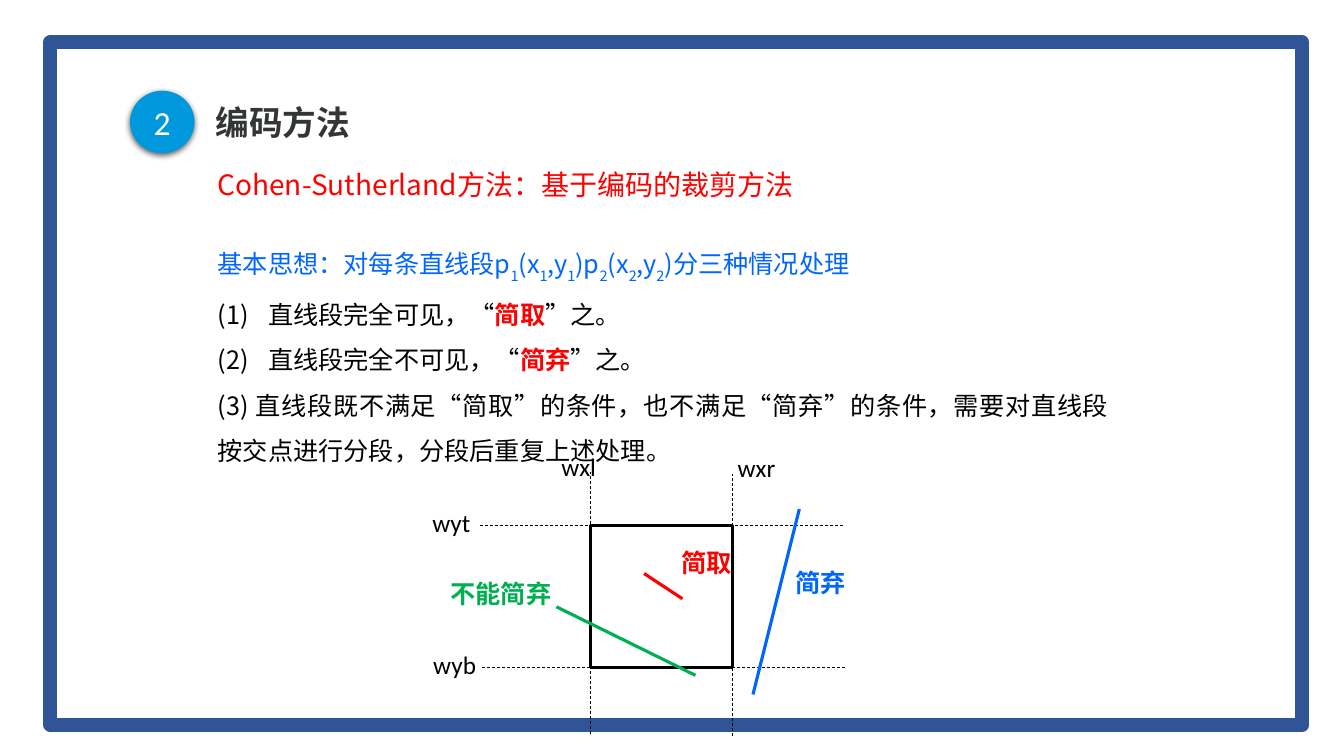
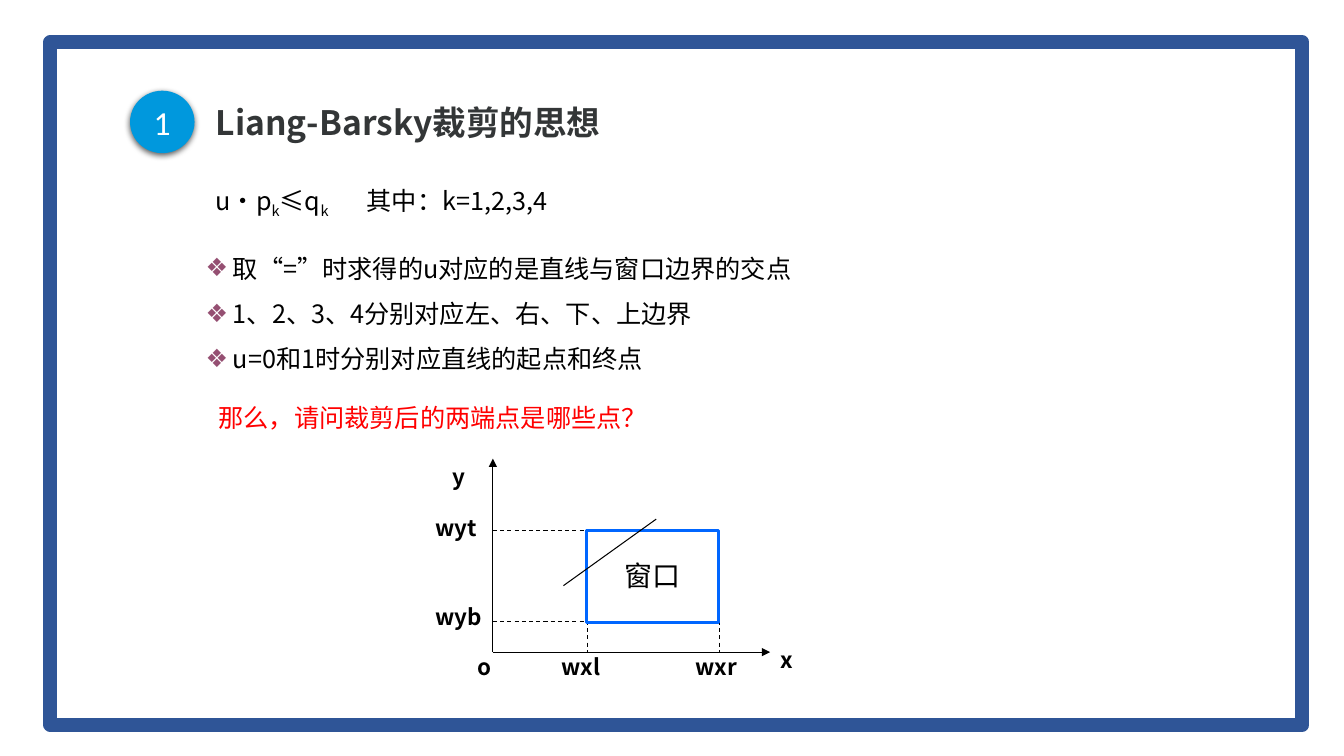
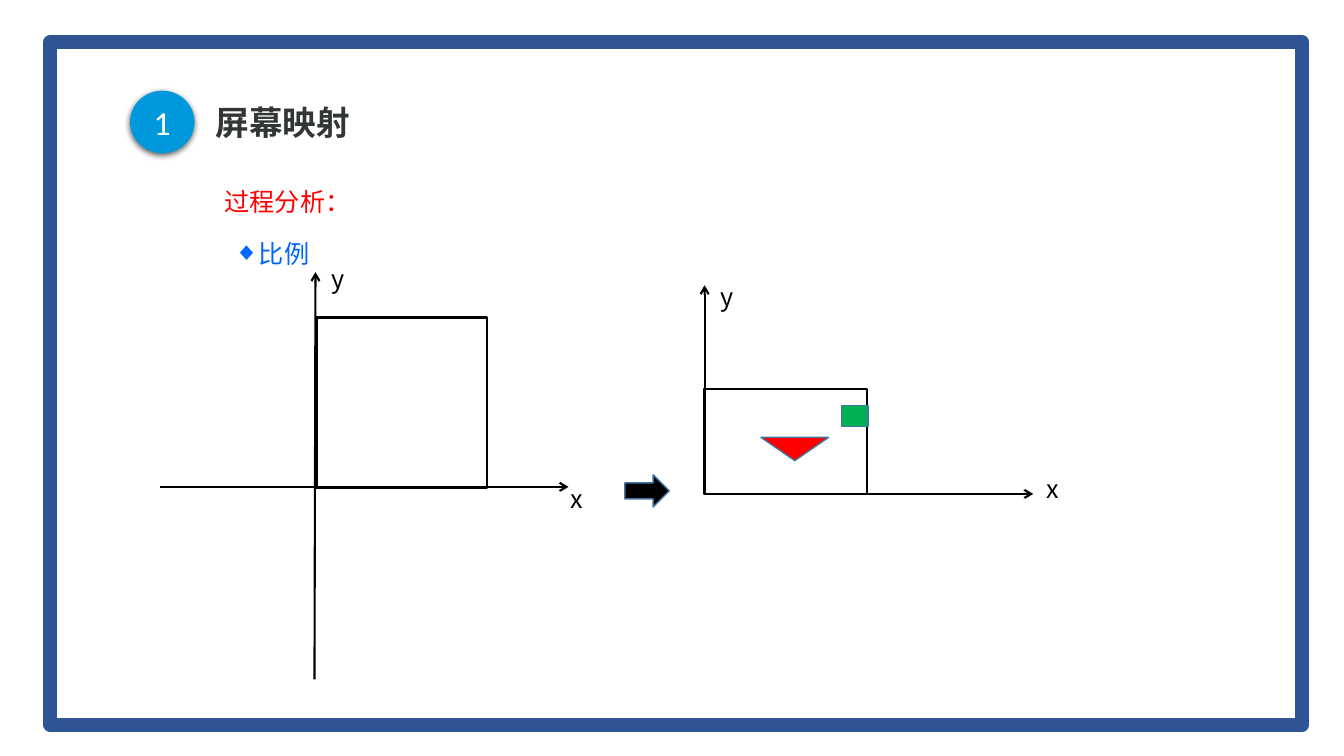
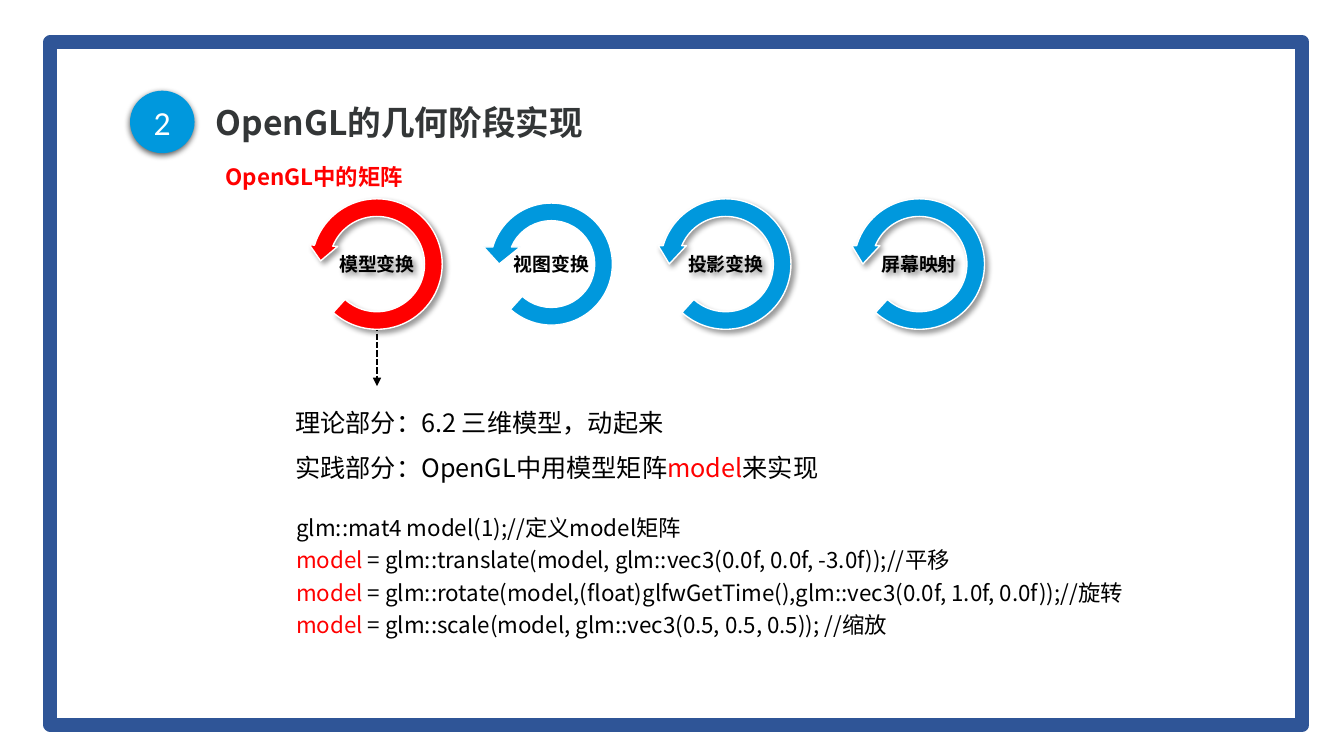
from dataclasses import dataclass
from typing import NamedTuple, Optional, Sequence, Union

from lxml import etree
from pptx import Presentation
from pptx.dml.color import RGBColor
from pptx.enum.dml import MSO_LINE
from pptx.enum.shapes import MSO_CONNECTOR, MSO_SHAPE
from pptx.enum.text import MSO_ANCHOR, MSO_AUTO_SIZE, PP_ALIGN
from pptx.oxml.ns import qn
from pptx.util import Emu, Inches, Pt

RECTANGLE = MSO_SHAPE.RECTANGLE
OVAL = MSO_SHAPE.OVAL
TRIANGLE = MSO_SHAPE.ISOSCELES_TRIANGLE
RIGHT_ARROW = MSO_SHAPE.RIGHT_ARROW
CIRCULAR_ARROW = MSO_SHAPE.CIRCULAR_ARROW
STRAIGHT = MSO_CONNECTOR.STRAIGHT
DASH = MSO_LINE.DASH
SHORT_DASH = MSO_LINE.SQUARE_DOT
LEFT = PP_ALIGN.LEFT
CENTER = PP_ALIGN.CENTER
JUSTIFY = PP_ALIGN.JUSTIFY
TOP = MSO_ANCHOR.TOP
MIDDLE = MSO_ANCHOR.MIDDLE
FIT_SHAPE = MSO_AUTO_SIZE.SHAPE_TO_FIT_TEXT
NO_FIT = MSO_AUTO_SIZE.NONE

CELL = Inches(0.1)
COLUMNS, ROWS = 133.33, 75


@dataclass(frozen=True)
class Theme:
    font: str = "Noto Sans CJK SC"
    latin: str = "Calibri"
    question_font: str = "DejaVu Sans"
    white: str = "FFFFFF"
    black: str = "000000"
    title: str = "333637"
    frame: str = "2F5597"
    accent: str = "0098DD"
    red: str = "FF0000"
    blue: str = "0066FF"
    green: str = "00B050"
    bullet: str = "954F72"
    outline: str = "43739E"
    title_size: float = 24
    lead_size: float = 20
    body_size: float = 18
    small_size: float = 16
    ring_size: float = 13.5


THEME = Theme()


class Area(NamedTuple):
    left: float
    top: float
    width: float
    height: float


class Span(NamedTuple):
    text: str
    color: Optional[str] = None
    bold: Optional[bool] = None
    baseline: int = 0


class Label(NamedTuple):
    text: str
    left: float
    top: float
    width: float
    color: str = THEME.black


class Segment(NamedTuple):
    x1: float
    y1: float
    x2: float
    y2: float
    color: str = THEME.black
    weight: float = 2.25


class Shadow(NamedTuple):
    alpha: int
    blur: float
    distance: float
    angle: int


class Ring(NamedTuple):
    text: str
    left: float
    color: str
    sweep: float
    head: float
    shadow: Optional[Shadow]


BADGE_SHADOW = Shadow(63, 4.5, 1.5, 90)
RING_SHADOW = Shadow(40, 4, 3, 45)
TITLE_AREA = Area(20.4, 9.3, 83.5, 6.1)
BADGE_AREA = Area(12.9, 9, 6.4, 6.2)

Paragraph = Union[str, Sequence[Span]]


def cells(count: float) -> Emu:
    return Emu(round(count * CELL))


def rgb(color: str) -> RGBColor:
    return RGBColor.from_string(color)


def add_element(parent, tag: str, **attributes):
    element = etree.SubElement(parent, qn(tag))
    for name, value in attributes.items():
        element.set(name, str(value))
    return element


def place(shape, area: Area) -> None:
    shape.left, shape.top, shape.width, shape.height = map(cells, area)


def write_text(frame, paragraphs: Sequence[Paragraph], *, size: float = THEME.body_size,
               color: str = THEME.black, bold: bool = False, font: str = THEME.font,
               align=LEFT, anchor=TOP, spacing: Optional[float] = None,
               wrap: bool = True, fit=NO_FIT, margins: tuple[float, float] = (1, 0.5),
               bullet: str = "", bullet_color: Optional[str] = None,
               hanging: float = 0, tab: float = 0) -> None:
    frame.word_wrap = wrap
    frame.auto_size = fit
    frame.vertical_anchor = anchor
    frame.margin_left = frame.margin_right = cells(margins[0])
    frame.margin_top = frame.margin_bottom = cells(margins[1])
    for index, content in enumerate(paragraphs):
        para = frame.add_paragraph() if index else frame.paragraphs[0]
        properties = para._p.get_or_add_pPr()
        properties.set("marL", str(cells(hanging)))
        properties.set("indent", str(-cells(hanging)))
        if bullet_color:
            add_element(add_element(properties, "a:buClr"), "a:srgbClr", val=bullet_color)
        if bullet:
            add_element(properties, "a:buChar", char=bullet)
        else:
            add_element(properties, "a:buNone")
        if tab:
            add_element(add_element(properties, "a:tabLst"), "a:tab", pos=cells(tab), algn="l")
        para.alignment = align
        para.space_before = Pt(0)
        if spacing:
            para.line_spacing = spacing
        for span in [Span(content)] if isinstance(content, str) else content:
            run = para.add_run()
            run.text = span.text
            run.font.size = Pt(size)
            run.font.name = font
            run.font.bold = bold if span.bold is None else span.bold
            run.font.color.rgb = rgb(span.color or color)
            run_properties = run.font._element
            add_element(run_properties, "a:ea", typeface=THEME.font)
            if span.baseline:
                run_properties.set("baseline", str(span.baseline * 1000))


def add_text(page, area: Area, paragraphs: Sequence[Paragraph], **text_format) -> None:
    box = page.shapes.add_textbox(*map(cells, area))
    write_text(box.text_frame, paragraphs, **{"fit": FIT_SHAPE, **text_format})


def add_labels(page, labels: Sequence[Label], *, height: float = 4, **text_format) -> None:
    for label in labels:
        area = Area(label.left, label.top, label.width, height)
        add_text(page, area, [label.text], color=label.color, wrap=False, **text_format)


def add_block(page, kind, area: Area, *, fill: Optional[str] = None,
              line: Optional[str] = None, weight: float = 1,
              shadow: Optional[Shadow] = None, flip: str = ""):
    block = page.shapes.add_shape(kind, *map(cells, area))
    block.shadow.inherit = False
    if fill:
        block.fill.solid()
        block.fill.fore_color.rgb = rgb(fill)
    else:
        block.fill.background()
    if line:
        block.line.color.rgb = rgb(line)
        block.line.width = Pt(weight)
    else:
        block.line.fill.background()
    properties = block.element.spPr
    if shadow:
        outer = add_element(properties.find(qn("a:effectLst")), "a:outerShdw",
                            blurRad=Pt(shadow.blur), dist=Pt(shadow.distance),
                            dir=shadow.angle * 60000, algn="ctr", rotWithShape=0)
        tint = add_element(outer, "a:srgbClr", val=THEME.black)
        add_element(tint, "a:alpha", val=shadow.alpha * 1000)
    if flip:
        properties.find(qn("a:xfrm")).set(flip, "1")
    return block


def add_line(page, segment: Segment, *, dash=None, head: str = "", tail: str = "") -> None:
    ends = (segment.x1, segment.y1, segment.x2, segment.y2)
    connector = page.shapes.add_connector(STRAIGHT, *map(cells, ends))
    connector.line.color.rgb = rgb(segment.color)
    connector.line.width = Pt(segment.weight)
    if dash:
        connector.line.dash_style = dash
    outline = connector.line._get_or_add_ln()
    if head:
        add_element(outline, "a:headEnd", type=head)
    if tail:
        add_element(outline, "a:tailEnd", type=tail)
    add_element(connector.element.spPr, "a:effectLst")


def add_page(deck, number: int, title: str):
    page = deck.slides.add_slide(deck.slide_layouts[1])
    write_text(page.shapes.title.text_frame, [title], size=THEME.title_size,
               color=THEME.title, bold=True, anchor=MIDDLE, spacing=0.9)
    badge = add_block(page, OVAL, BADGE_AREA, fill=THEME.accent, shadow=BADGE_SHADOW)
    write_text(badge.text_frame, [str(number)], size=THEME.title_size, color=THEME.white,
               font=THEME.latin, align=CENTER, anchor=MIDDLE, wrap=False)
    return page


def fill_body(page, area: Area, paragraphs: Sequence[Paragraph], **text_format) -> None:
    body = page.placeholders[1]
    place(body, area)
    write_text(body.text_frame, paragraphs, **text_format)


def frame_layout(layout, page) -> None:
    place(layout.placeholders[0], TITLE_AREA)
    panel = add_block(page, RECTANGLE, Area(5.8, 5, 122.5, 66.2), fill=THEME.white)
    border = add_block(page, RECTANGLE, Area(5, 4.2, 124.2, 67.7), line=THEME.frame, weight=10)
    for offset, shape in enumerate((panel, border)):
        shape.element.nvSpPr.cNvPr.set("id", str(20 + offset))
        layout.shapes.element.insert(2 + offset, shape.element)


def subscripted(marked: str, baseline: int) -> list[Span]:
    return [Span(text, baseline=baseline * (index % 2))
            for index, text in enumerate(marked.split("|"))]


def build_coding(deck) -> None:
    page = add_page(deck, 2, "编码方法")
    frame_layout(deck.slide_layouts[1], page)
    add_text(page, Area(20.6, 15.5, 85, 20), ["Cohen-Sutherland方法：基于编码的裁剪方法"],
             size=THEME.lead_size, color=THEME.red, align=JUSTIFY, spacing=1.2,
             hanging=2.5, fit=NO_FIT)
    idea = subscripted("基本思想：对每条直线段p|1|(x|1|,y|1|)p|2|(x|2|,y|2|)分三种情况处理", -30)
    fill_body(page, Area(20.6, 22.4, 90.4, 50.8), [
        [span._replace(color=THEME.blue) for span in idea],
        [Span("(1)\t直线段完全可见，“"), Span("简取", THEME.red, True), Span("”之。")],
        [Span("(2)\t直线段完全不可见，“"), Span("简弃", THEME.red, True), Span("”之。")],
        "(3) 直线段既不满足“简取”的条件，也不满足“简弃”的条件，需要对直线段按交点进行分段，分段后重复上述处理。",
    ], align=JUSTIFY, spacing=1.5, tab=4.8)

    window = Area(58.6, 52.1, 14.1, 14.1)
    right, bottom = window.left + window.width, window.top + window.height
    add_block(page, RECTANGLE, window, line=THEME.black, weight=2.25)
    for boundary in (
        Segment(47.6, window.top, 83.6, window.top, weight=0.5),
        Segment(47.8, bottom, 83.9, bottom, weight=0.5),
        Segment(window.left, 72.8, window.left, 46.8, weight=0.5),
        Segment(right, 73, right, 47, weight=0.5),
    ):
        add_line(page, boundary, dash=DASH)
    for clipped in (
        Segment(63.9, 56.9, 67.7, 59.4, THEME.red),
        Segment(55.2, 60.2, 69, 67, THEME.green),
        Segment(79.3, 50.5, 74.7, 68.9, THEME.blue),
    ):
        add_line(page, clipped)
    add_labels(page, [
        Label("wxl", 54.7, 44.3, 5.5),
        Label("wxr", 72.2, 44.4, 5.8),
        Label("wyt", 41.9, 49.8, 5.8),
        Label("wyb", 42, 63.9, 6.3),
    ], font=THEME.latin)
    add_labels(page, [
        Label("简取", 66.6, 53.8, 7.1, THEME.red),
        Label("不能简弃", 43.7, 56.9, 12.1, THEME.green),
        Label("简弃", 77.9, 55.8, 7.1, THEME.blue),
    ], bold=True)


def build_clipping(deck) -> None:
    page = add_page(deck, 1, "Liang-Barsky裁剪的思想")
    add_text(page, Area(20.4, 17.9, 35.8, 4),
             [subscripted("u·p|k|≤q|k|\t其中：k=1,2,3,4", -25)], tab=13.4)
    fill_body(page, Area(19.4, 23.1, 74.1, 14.6), [
        "取“=”时求得的u对应的是直线与窗口边界的交点",
        "1、2、3、4分别对应左、右、下、上边界",
        "u=0和1时分别对应直线的起点和终点",
    ], spacing=1.5, bullet="❖", bullet_color=THEME.bullet, hanging=2.7)
    add_labels(page, [Label("那么，请问裁剪后的两端点是哪些点？", 20.7, 39.4, 44.9, THEME.red)],
               font=THEME.question_font)

    origin_x, origin_y = 48.9, 64.7
    window = Area(58.2, 52.6, 13.1, 9.2)
    for end_x, end_y in ((origin_x, 45.5), (76.4, origin_y)):
        add_line(page, Segment(origin_x, origin_y, end_x, end_y, weight=0.75), tail="triangle")
    for row in (window.top, 61.7):
        add_line(page, Segment(origin_x, row, 58, row, weight=0.75), dash=DASH)
    for column in (58.3, 71.4):
        add_line(page, Segment(column, 53, column, origin_y, weight=0.75), dash=DASH)
    add_block(page, RECTANGLE, window, line=THEME.blue, weight=2.25)
    add_labels(page, [
        Label("x", 76.4, 63.6, 3.3),
        Label("y", 43.9, 45.5, 3.3),
        Label("o", 46.4, 64.3, 3.5),
        Label("wyt", 42.2, 50.5, 6.2),
        Label("wyb", 42.2, 59.3, 6.7),
        Label("wxl", 54.7, 64.3, 5.9),
        Label("wxr", 68, 64.3, 6.2),
    ], height=3.7, size=THEME.small_size, bold=True)
    add_labels(page, [Label("窗口", 61, 54.9, 7.6)], height=4.3, size=THEME.lead_size)
    add_line(page, Segment(55.9, 58.1, 65.1, 51.5, weight=0.75))


def build_mapping(deck) -> None:
    page = add_page(deck, 1, "屏幕映射")
    fill_body(page, Area(22.2, 23.1, 9.6, 4), ["比例"], color=THEME.blue,
              bullet="◆", hanging=2.3, wrap=False)
    add_block(page, RIGHT_ARROW, Area(62, 47.1, 4.4, 3.2), fill=THEME.black, line=THEME.outline)
    for area in (Area(31.4, 31.5, 16.9, 16.9), Area(69.8, 38.6, 16.2, 10.4)):
        add_block(page, RECTANGLE, area, line=THEME.black, weight=1.5)
    add_block(page, TRIANGLE, Area(75.5, 43.4, 6.7, 2.3), fill=THEME.red,
              line=THEME.outline, flip="flipV")
    add_block(page, RECTANGLE, Area(83.5, 40.2, 2.6, 2.1), fill=THEME.green, line=THEME.outline)
    for axis in (
        Segment(31.2, 67.4, 31.3, 27, weight=1.5),
        Segment(15.9, 48.3, 56.4, 48.3, weight=1.5),
        Segment(69.9, 49.1, 69.9, 28.3, weight=1.5),
        Segment(69.9, 49, 102.5, 49, weight=1.5),
    ):
        add_line(page, axis, tail="arrow")
    add_labels(page, [
        Label("过程分析：", 21.3, 18, 14.6, THEME.red),
        Label("y", 31.9, 25.6, 3.4),
        Label("x", 55.6, 47.5, 3.3),
        Label("x", 102.8, 46.5, 3.3),
        Label("y", 70.5, 27.4, 3.4),
    ])


def build_geometry(deck) -> None:
    page = add_page(deck, 2, "OpenGL的几何阶段实现")
    margins = (0.7, 0.4)
    add_line(page, Segment(37.4, 31.9, 37.4, 38.3, weight=1.5),
             dash=SHORT_DASH, head="oval", tail="triangle")
    for ring in (
        Ring("模型变换", 30.4, THEME.red, 9.49, 0.1, RING_SHADOW),
        Ring("视图变换", 47.7, THEME.accent, 11.42, 0.13, None),
        Ring("投影变换", 65, THEME.accent, 11.42, 0.1, RING_SHADOW),
        Ring("屏幕映射", 84.2, THEME.accent, 11.42, 0.1, RING_SHADOW),
    ):
        arrow = add_block(page, CIRCULAR_ARROW, Area(ring.left, 19.2, 14, 14), fill=ring.color,
                          line=THEME.white, shadow=ring.shadow, flip="flipH")
        for index, value in enumerate((0.125, ring.sweep, 204.58, 28.75, ring.head)):
            arrow.adjustments[index] = value
        write_text(arrow.text_frame, [ring.text], size=THEME.ring_size, bold=True,
                   align=CENTER, anchor=MIDDLE, wrap=False, margins=margins)
    fill_body(page, Area(28.6, 38.5, 58.1, 9.8), [
        "理论部分：6.2 三维模型，动起来",
        [Span("实践部分：OpenGL中用模型矩阵"), Span("model", THEME.red), Span("来实现")],
    ], spacing=1.5, margins=margins)
    add_text(page, Area(21.4, 15.7, 20, 6.4), ["OpenGL中的矩阵"],
             size=THEME.small_size, color=THEME.red, bold=True)
    calls = (
        " = glm::translate(model, glm::vec3(0.0f, 0.0f, -3.0f));//平移",
        " = glm::rotate(model,(float)glfwGetTime(),glm::vec3(0.0f, 1.0f, 0.0f));//旋转",
        " = glm::scale(model, glm::vec3(0.5, 0.5, 0.5)); //缩放",
    )
    add_text(page, Area(28.4, 50, 104.9, 17.2), [
        "glm::mat4 model(1);//定义model矩阵",
        *([Span("model", THEME.red), Span(call)] for call in calls),
    ], size=THEME.small_size, spacing=1.2)


def main() -> None:
    deck = Presentation()
    deck.slide_width, deck.slide_height = cells(COLUMNS), cells(ROWS)
    for build in (build_coding, build_clipping, build_mapping, build_geometry):
        build(deck)
    deck.save("out.pptx")


if __name__ == "__main__":
    main()
